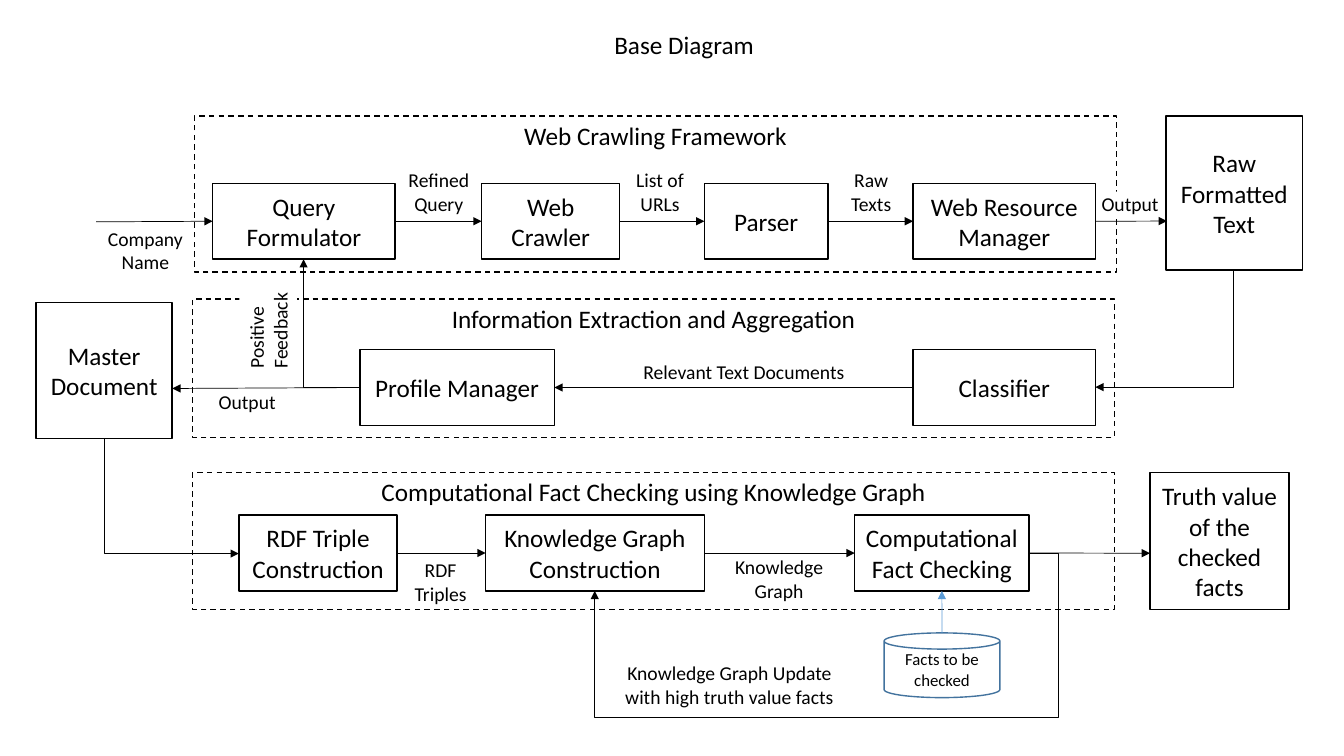
from lxml import etree
from pptx import Presentation
from pptx import util as u
from pptx.dml.color import RGBColor
from pptx.enum import dml, shapes as sh, text as t
from pptx.oxml import ns

BLACK, WHITE, BLUE, NAVY = "000000", "FFFFFF", "5B9BD5", "43739E"
ROW_H = 1.91
TOP, LEFT, BOTTOM, RIGHT = range(4)


def color(code):
    return RGBColor.from_string(code)


def cms(*vals):
    return [u.Cm(v) for v in vals]


def write(shape, lines, size, align=t.PP_ALIGN.CENTER):
    frame = shape.text_frame
    for i, line in enumerate(lines):
        para = frame.add_paragraph() if i else frame.paragraphs[0]
        para.alignment = align
        run = para.add_run()
        run.text = line
        run.font.size = u.Pt(size)
        run.font.name = "Calibri"
        run.font.color.rgb = color(BLACK)


def box(slide, words, at, size=18, line=BLACK, kind=sh.MSO_SHAPE.RECTANGLE):
    shape = slide.shapes.add_shape(kind, *cms(*at))
    shape.shadow.inherit = False
    shape.fill.solid()
    shape.fill.fore_color.rgb = color(WHITE)
    shape.line.color.rgb = color(line)
    shape.line.width = u.Pt(1)
    shape.text_frame.vertical_anchor = t.MSO_ANCHOR.MIDDLE
    write(shape, [words], size)
    return shape


def stage(slide, words, at):
    """Dashed frame around one stage, with its heading at the top."""
    shape = box(slide, words, at)
    shape.fill.background()
    shape.line.dash_style = dml.MSO_LINE.DASH
    frame = shape.text_frame
    frame.vertical_anchor = t.MSO_ANCHOR.TOP
    frame.margin_top = u.Cm(0.1)


def label(slide, lines, at, size=14, wrap=False):
    shape = slide.shapes.add_textbox(*cms(*at))
    shape.text_frame.word_wrap = wrap
    write(shape, lines, size)
    return shape


def patch(slide, lines, at, pad=0, turn=0):
    """White label that hides the frame line behind it."""
    shape = slide.shapes.add_textbox(*cms(*at))
    shape.fill.solid()
    shape.fill.fore_color.rgb = color(WHITE)
    shape.rotation = turn
    frame = shape.text_frame
    frame.word_wrap = False
    frame.margin_left = frame.margin_right = u.Cm(pad)
    frame.margin_top = frame.margin_bottom = u.Cm(pad / 2)
    write(shape, lines, 14, t.PP_ALIGN.LEFT)


def finish(wire, tint=BLACK):
    wire.line.color.rgb = color(tint)
    wire.line.width = u.Pt(0.5)
    line = wire.line._get_or_add_ln()
    etree.SubElement(line, ns.qn("a:tailEnd"), type="triangle")
    etree.SubElement(wire._element.spPr, ns.qn("a:effectLst"))


def arrow(slide, ends, start=None, stop=None, tint=BLACK):
    """Straight arrow; start and stop are (box, side) pairs to join."""
    wire = slide.shapes.add_connector(sh.MSO_CONNECTOR.STRAIGHT, *cms(*ends))
    if start:
        wire.begin_connect(*start)
    if stop:
        wire.end_connect(*stop)
    finish(wire, tint)


def elbow(slide, start, stop, at, turn=0, flip=False, bends=()):
    """Bent arrow; at is its place before it is turned and flipped."""
    wire = slide.shapes.add_connector(sh.MSO_CONNECTOR.ELBOW, 0, 0, 0, 0)
    wire.begin_connect(*start)
    wire.end_connect(*stop)
    wire.left, wire.top, wire.width, wire.height = cms(*at)
    props = wire._element.spPr
    place = props.find(ns.qn("a:xfrm"))
    place.set("rot", str(turn * 60000))
    place.set("flipH", str(int(flip)))
    place.set("flipV", "0")
    geom = props.find(ns.qn("a:prstGeom"))
    geom.set("prst", "bentConnector4" if bends else "bentConnector2")
    guides = geom.find(ns.qn("a:avLst"))
    for i, bend in enumerate(bends, 1):
        etree.SubElement(guides, ns.qn("a:gd"), name=f"adj{i}",
                         fmla=f"val {bend * 1000}")
    finish(wire)


def main():
    deck = Presentation()
    deck.slide_width, deck.slide_height = cms(33.87, 19.05)
    slide = deck.slides.add_slide(deck.slide_layouts[6])

    for words, at in (
        ("Web Crawling Framework", (4.9, 2.92, 23.24, 3.94)),
        ("Information Extraction and Aggregation", (4.85, 7.54, 23.24, 3.48)),
        ("Computational Fact Checking using Knowledge Graph",
         (4.85, 11.91, 23.24, 3.45)),
    ):
        stage(slide, words, at)

    steps = {}
    rows = (
        (4.62, (("Query Formulator", 5.36, 4.6), ("Web Crawler", 12.14, 3.48),
                ("Parser", 17.75, 3.12), ("Web Resource Manager", 23.01, 4.6))),
        (8.81, (("Classifier", 23.01, 4.6), ("Profile Manager", 9.07, 4.9))),
        (12.98, (("RDF Triple Construction", 6.02, 3.99),
                 ("Knowledge Graph Construction", 12.24, 5.51),
                 ("Computational Fact Checking", 21.54, 4.39))),
    )
    for top, cells in rows:
        for words, left, width in cells:
            steps[words] = box(slide, words, (left, top, width, ROW_H))
    query, crawl, parser, store, sort, prof, rdf, graph, check = steps.values()

    raw = box(slide, "Raw Formatted Text", (29.39, 2.92, 3.43, 3.89))
    master = box(slide, "Master Document", (0.91, 7.62, 3.43, 3.43))
    box(slide, "Truth value of the checked facts", (28.98, 11.91, 3.51, 3.45))
    box(slide, "Facts to be checked", (22.28, 15.95, 2.92, 1.63), 12, NAVY,
        sh.MSO_SHAPE.CAN)

    label(slide, ["Base Diagram"], (15.21, 0.61, 4.06, 1.02), 18)
    for lines, left, top, width in (
        (["Company", "Name"], 2.46, 5.59, 2.41),
        (["Refined", "Query"], 10.03, 4.11, 2.06),
        (["List of", "URLs"], 15.77, 4.11, 1.73),
        (["Raw", "Texts"], 21.18, 4.11, 1.55),
        (["RDF", "Triples"], 10.19, 13.94, 1.83),
    ):
        label(slide, lines, (left, top, width, 1.45))
    label(slide, ["Relevant Text Documents"], (15.93, 8.94, 5.64, 0.86))
    label(slide, ["Knowledge Graph"], (18.06, 13.87, 3.15, 1.45), wrap=True)
    label(slide, ["Knowledge Graph Update with high truth value facts"],
          (15.21, 16.54, 6.35, 1.45), wrap=True)
    patch(slide, ["Positive", "Feedback"], (5.54, 7.59, 2.44, 1.45), 0.25, 270)
    for left, top in ((27.76, 4.83), (5.51, 9.83)):
        patch(slide, ["Output"], (left, top, 1.45, 0.61))

    for one, two, out, into in (
        (query, crawl, RIGHT, LEFT), (crawl, parser, RIGHT, LEFT),
        (parser, store, RIGHT, LEFT), (sort, prof, LEFT, RIGHT),
        (rdf, graph, RIGHT, LEFT), (graph, check, RIGHT, LEFT),
    ):
        arrow(slide, (0, 0, 0, 0), (one, out), (two, into))
    arrow(slide, (2.42, 5.59, 5.36, 5.57), stop=(query, LEFT))
    arrow(slide, (27.61, 5.57, 29.41, 5.57), start=(store, RIGHT))
    arrow(slide, (9.07, 9.76, 4.34, 9.79), start=(prof, LEFT))
    arrow(slide, (25.93, 13.94, 28.98, 13.94), start=(check, RIGHT))
    arrow(slide, (23.74, 15.95, 23.74, 14.89), stop=(check, BOTTOM), tint=BLUE)

    elbow(slide, (raw, BOTTOM), (sort, RIGHT), (27.86, 6.53, 2.97, 3.48), 90)
    elbow(slide, (prof, LEFT), (query, BOTTOM), (7.65, 6.53, 1.41, 3.23), 180)
    elbow(slide, (master, BOTTOM), (rdf, LEFT), (2.87, 10.8, 2.9, 3.4), 270,
          True)
    elbow(slide, (check, RIGHT), (graph, BOTTOM), (14.99, 13.94, 10.93, 0.95),
          flip=True, bends=(-7, 435))
    deck.save("out.pptx")


if __name__ == "__main__":
    main()
